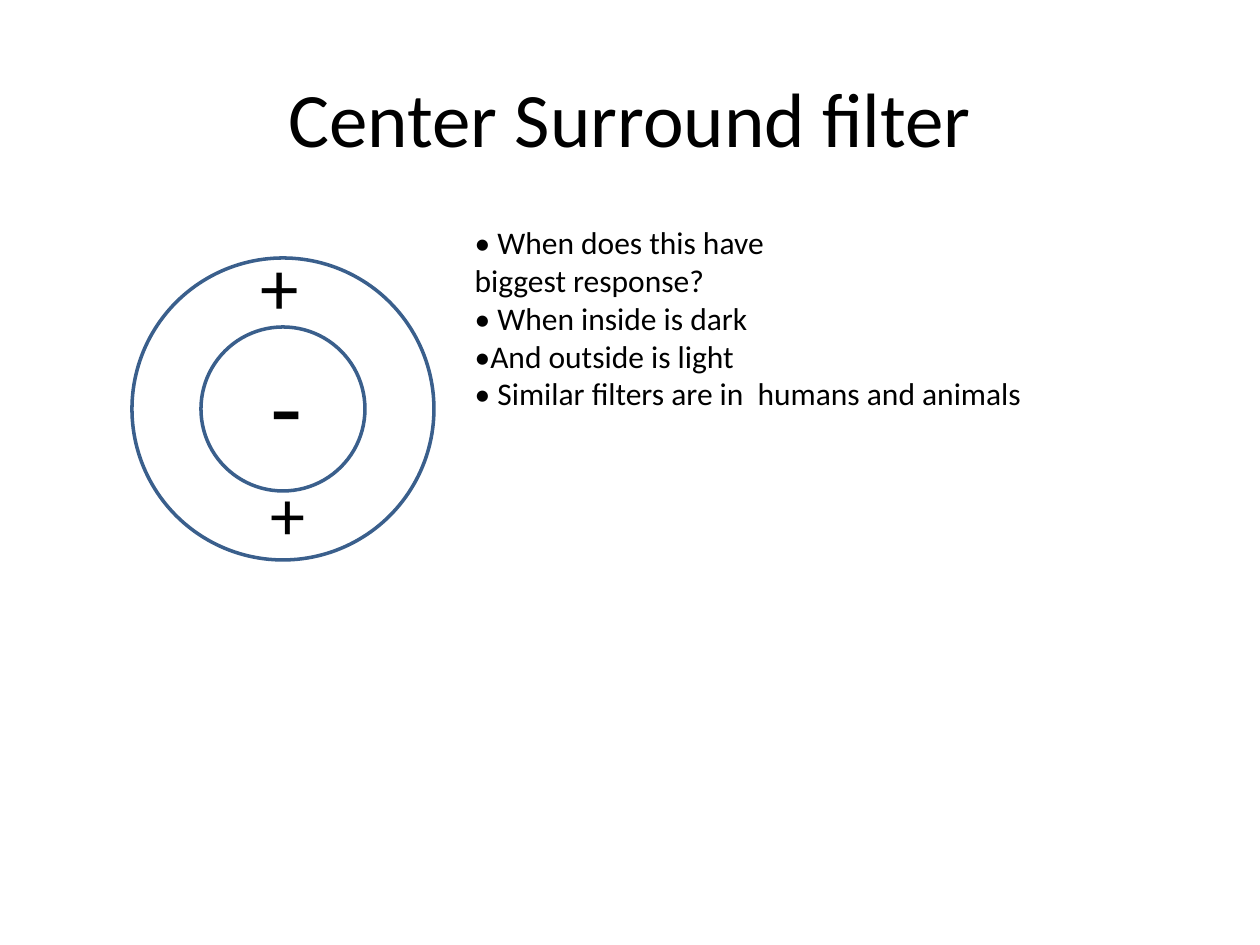
from collections import namedtuple
from dataclasses import dataclass

from pptx import Presentation
from pptx import util as u
from pptx.dml.color import RGBColor
from pptx.enum import shapes, text

Box = namedtuple("Box", "left top width height")


@dataclass(frozen=True)
class Theme:
    """Colours, font and type sizes of the deck."""
    font: str = "Calibri"
    ink: RGBColor = RGBColor(0, 0, 0)
    ring: RGBColor = RGBColor(0x3A, 0x5F, 0x8C)
    ring_width: int = 2
    title: int = 44
    body: int = 18
    minus: int = 60
    top_plus: int = 44
    bottom_plus: int = 40


THEME = Theme()
PX_PER_INCH = 126
POINTS = (
    "• When does this have",
    "biggest response?",
    "• When inside is dark",
    "•And outside is light",
    "• Similar filters are in  humans and animals",
)


def px(length):
    """Turn px into EMU."""
    return u.Emu(round(length * 914400 / PX_PER_INCH))


def place(shape, box):
    """Move a shape into a box."""
    shape.left, shape.top, shape.width, shape.height = map(px, box)


def style(para, size):
    """Format every run of a paragraph."""
    for span in para.runs:
        span.font.name = THEME.font
        span.font.size = u.Pt(size)
        span.font.color.rgb = THEME.ink


def add_title(page, box, words):
    """Fill the title placeholder."""
    title = page.shapes.title
    place(title, box)
    title.text_frame.text = words
    title.text_frame.vertical_anchor = text.MSO_ANCHOR.MIDDLE
    para = title.text_frame.paragraphs[0]
    para.alignment = text.PP_ALIGN.CENTER
    style(para, THEME.title)


def add_points(page, box, lines):
    """Fill the body placeholder with flush lines that carry their own marks."""
    body = page.placeholders[1]
    place(body, box)
    frame = body.text_frame
    frame.text = "\n".join(lines)
    frame.auto_size = text.MSO_AUTO_SIZE.NONE
    for para in frame.paragraphs:
        properties = para._p.get_or_add_pPr()
        properties.set("marL", "0")
        properties.set("indent", "0")
        properties.insert_element_before(
            properties.makeelement(
                "{http://schemas.openxmlformats.org/drawingml/2006/main}buNone", {}),
            "a:tabLst", "a:defRPr", "a:extLst")
        para.space_before = u.Pt(0)
        style(para, THEME.body)


def add_ring(page, box):
    """Draw one unfilled circle."""
    ring = page.shapes.add_shape(shapes.MSO_SHAPE.OVAL, *map(px, box))
    ring.shadow.inherit = False
    ring.fill.background()
    ring.line.color.rgb = THEME.ring
    ring.line.width = u.Pt(THEME.ring_width)


def add_sign(page, box, sign, size):
    """Write one sign of the filter."""
    label = page.shapes.add_textbox(*map(px, box))
    label.text_frame.text = sign
    style(label.text_frame.paragraphs[0], size)


def add_filter(page, box):
    """Draw the centre and surround rings with their signs."""
    inset = 69
    add_ring(page, box)
    add_ring(page, Box(box.left + inset, box.top + inset,
                       box.width - 2 * inset, box.height - 2 * inset))
    for sign, size, left, top, width, height in (
        ("-", THEME.minus, 126, 76, 77, 140),
        ("+", THEME.top_plus, 116, -26, 64, 106),
        ("+", THEME.bottom_plus, 126, 206, 60, 97),
    ):
        add_sign(page, Box(box.left + left, box.top + top, width, height), sign, size)


def main():
    """Build and save the deck."""
    deck = Presentation()
    deck.slide_width, deck.slide_height = px(1260), px(945)
    page = deck.slides.add_slide(deck.slide_layouts[1])
    add_title(page, Box(63, 38, 1134, 158), "Center Surround filter")
    add_points(page, Box(462, 217, 630, 204), POINTS)
    add_filter(page, Box(132, 258, 302, 302))
    deck.save("out.pptx")


if __name__ == "__main__":
    main()
